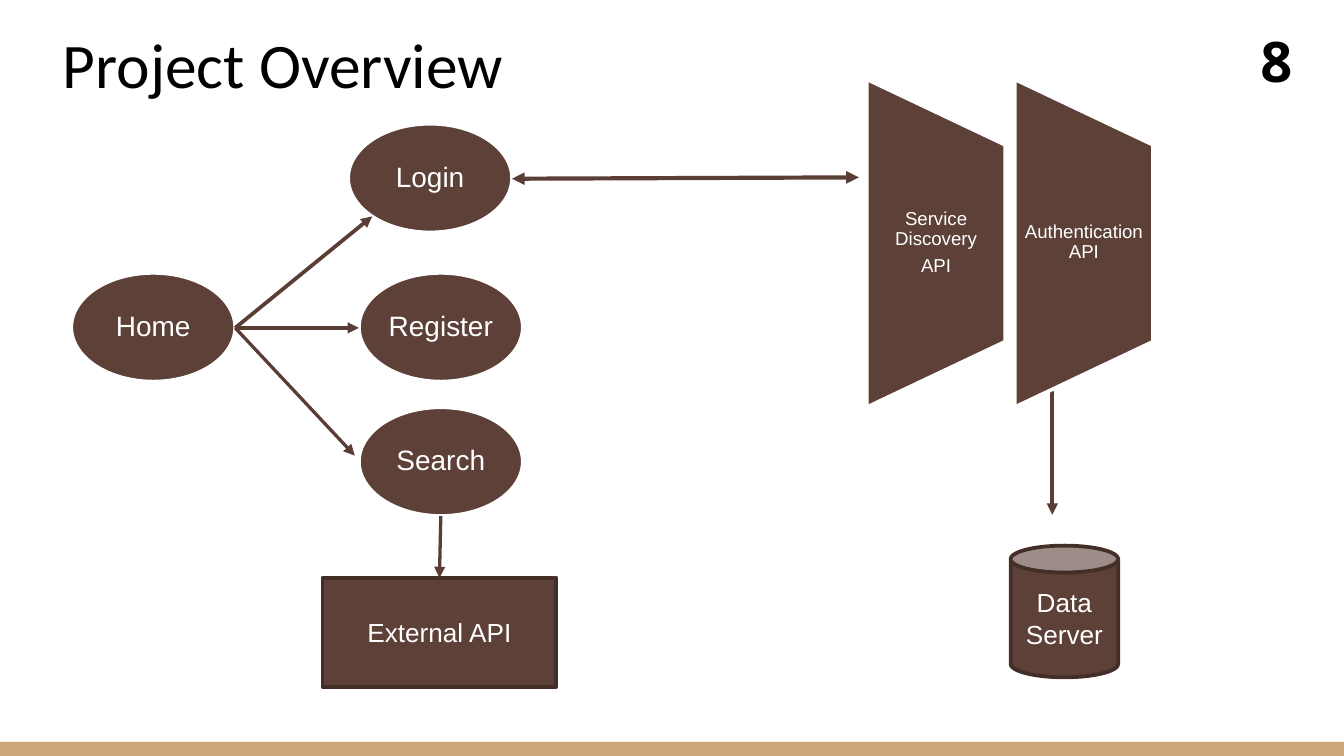
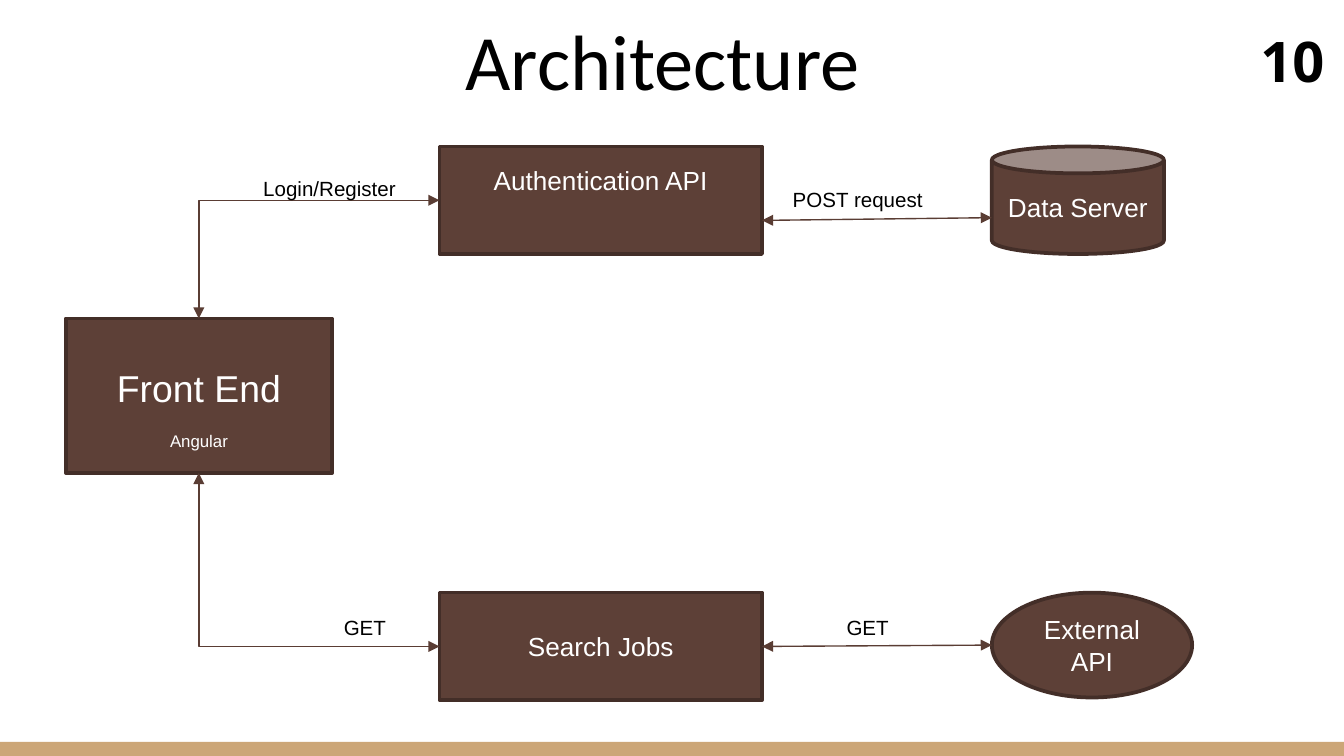
from dataclasses import dataclass

from lxml import etree
from pptx import Presentation
from pptx.dml.color import RGBColor
from pptx.enum.shapes import MSO_CONNECTOR, MSO_SHAPE
from pptx.enum.text import MSO_ANCHOR, PP_ALIGN
from pptx.oxml.ns import qn
from pptx.util import Inches, Pt

RECTANGLE = MSO_SHAPE.RECTANGLE
ELLIPSE = MSO_SHAPE.OVAL
CYLINDER = MSO_SHAPE.CAN
TRAPEZOID = MSO_SHAPE.FLOWCHART_MANUAL_OPERATION
STRAIGHT, ELBOW = MSO_CONNECTOR.STRAIGHT, MSO_CONNECTOR.ELBOW
LEFT, CENTER = PP_ALIGN.LEFT, PP_ALIGN.CENTER
TOP, MIDDLE, BOTTOM = MSO_ANCHOR.TOP, MSO_ANCHOR.MIDDLE, MSO_ANCHOR.BOTTOM

SLIDE_WIDTH = 10
SLIDE_HEIGHT = SLIDE_WIDTH * 9 / 16
INSETS = (0.1, 0.05, 0.1, 0.05)
EVEN_INSETS = (0.1,) * 4
TIGHT_INSETS = (0.01,) * 4


@dataclass(frozen=True)
class Theme:
    brown: str = "5D4037"
    outline: str = "432E28"
    arrow: str = "5A3D34"
    band: str = "CCA677"
    white: str = "FFFFFF"
    black: str = "000000"
    body_font: str = "Arial"
    title_font: str = "Calibri"
    number_font: str = "Open Sans"
    overview_title_size: float = 34
    architecture_title_size: float = 42
    number_size: float = 30
    headline_size: float = 20
    bubble_size: float = 15
    box_size: float = 14
    label_size: float = 11
    service_size: float = 10
    detail_size: float = 9


THEME = Theme()


def rgb(value):
    return RGBColor.from_string(value)


def write_text(shape, text, *, size, color=THEME.white, font=THEME.body_font,
               bold=False, align=CENTER, anchor=MIDDLE, insets=INSETS,
               wrap=True, line_spacing=None, gap=0):
    """Write one paragraph per line; size is one value or one per line."""
    frame = shape.text_frame
    frame.word_wrap = wrap
    frame.vertical_anchor = anchor
    (frame.margin_left, frame.margin_top,
     frame.margin_right, frame.margin_bottom) = map(Inches, insets)
    lines = text.split("\n")
    sizes = size if isinstance(size, tuple) else (size,) * len(lines)
    for index, (line, points) in enumerate(zip(lines, sizes)):
        paragraph = frame.paragraphs[0] if index == 0 else frame.add_paragraph()
        paragraph.alignment = align
        if line_spacing:
            paragraph.line_spacing = line_spacing
        if index and gap:
            paragraph.space_before = Pt(gap)
        run = paragraph.add_run()
        run.text = line
        run.font.name = font
        run.font.size = Pt(points)
        run.font.bold = bold
        run.font.color.rgb = rgb(color)


class Deck:
    def __init__(self, theme):
        self.theme = theme
        self.presentation = Presentation()
        self.presentation.slide_width = Inches(SLIDE_WIDTH)
        self.presentation.slide_height = Inches(SLIDE_HEIGHT)
        self.slide = None

    def start_slide(self, number):
        """Add a slide with the footer band and its number."""
        self.slide = self.presentation.slides.add_slide(
            self.presentation.slide_layouts[6])
        self.shape(RECTANGLE, 0, 5.52, SLIDE_WIDTH, 0.11,
                   fill=self.theme.band, line=None)
        self.text(str(number), 9.28, 0.1, 0.72, 0.71, bold=True,
                  size=self.theme.number_size, font=self.theme.number_font,
                  insets=EVEN_INSETS)

    def text(self, text, left, top, width, height, **text_format):
        box = self.slide.shapes.add_textbox(
            Inches(left), Inches(top), Inches(width), Inches(height))
        defaults = dict(color=self.theme.black, align=LEFT, anchor=TOP,
                        wrap=False)
        write_text(box, text, **{**defaults, **text_format})

    def title(self, text, left, top, width, height, **text_format):
        self.text(text, left, top, width, height, wrap=True,
                  font=self.theme.title_font, **text_format)

    def label(self, text, left, top, width):
        self.text(text, left, top, width, 0.29, size=self.theme.label_size)

    def shape(self, kind, left, top, width, height, fill=THEME.brown,
              line=THEME.outline):
        shape = self.slide.shapes.add_shape(
            kind, Inches(left), Inches(top), Inches(width), Inches(height))
        shape.shadow.inherit = False
        shape.fill.solid()
        shape.fill.fore_color.rgb = rgb(fill)
        if line:
            shape.line.color.rgb = rgb(line)
            shape.line.width = Pt(2)
        else:
            shape.line.fill.background()
        return shape

    def box(self, text, kind, left, top, width, height, **text_format):
        shape = self.shape(kind, left, top, width, height)
        write_text(shape, text, **{"size": self.theme.box_size, **text_format})

    def bubble(self, text, left, top):
        shape = self.shape(ELLIPSE, left, top, 1.22, 0.81,
                           line=self.theme.white)
        write_text(shape, text, size=self.theme.bubble_size,
                   insets=TIGHT_INSETS, line_spacing=0.9)

    def service(self, text, left):
        """Add a sideways trapezoid with upright text over it."""
        length, depth, center_y = 2.44, 1.03, 1.81
        shape = self.shape(TRAPEZOID, left + (depth - length) / 2,
                           center_y - depth / 2, length, depth,
                           line=self.theme.white)
        shape.rotation = 270
        self.text(text, left, 1.07, depth, 1.47,
                  size=self.theme.service_size, color=self.theme.white,
                  align=CENTER, anchor=MIDDLE, wrap=True,
                  insets=(0.07, 0, 0.07, 0), line_spacing=0.9, gap=3.5)

    def arrow(self, start, end, width=0.75, both=False, kind=STRAIGHT):
        connector = self.slide.shapes.add_connector(
            kind, *map(Inches, (*start, *end)))
        connector.line.color.rgb = rgb(self.theme.arrow)
        connector.line.width = Pt(width)
        properties = connector._element.spPr
        if kind == ELBOW:
            properties.find(qn("a:prstGeom")).set("prst", "bentConnector2")
        line = properties.find(qn("a:ln"))
        for end_name in ("headEnd", "tailEnd") if both else ("tailEnd",):
            etree.SubElement(line, qn(f"a:{end_name}")).set("type", "triangle")
        etree.SubElement(properties, qn("a:effectLst"))


def build_overview(deck):
    deck.start_slide(8)
    deck.title("Project Overview", 0.37, 0.14, 9.63, 0.67,
               size=deck.theme.overview_title_size)

    for text, left, top in (("Home", 0.53, 2.03), ("Login", 2.59, 0.92),
                            ("Register", 2.67, 2.03), ("Search", 2.67, 3.03)):
        deck.bubble(text, left, top)
    home = (1.75, 2.44)
    for target, width in (((2.77, 1.61), 2), ((2.67, 2.44), 1.75),
                          ((2.64, 3.39), 1.75)):
        deck.arrow(home, target, width)

    deck.arrow((3.81, 1.33), (6.39, 1.32), 2.25, both=True)
    deck.arrow((7.83, 2.84), (7.83, 3.83), 2)
    deck.box("Data Server", CYLINDER, 7.52, 4.06, 0.8, 0.98)
    deck.service("Service Discovery\nAPI", 6.45)
    deck.service("Authentication API", 7.55)
    deck.box("External API", RECTANGLE, 2.4, 4.3, 1.74, 0.81)
    deck.arrow((3.28, 3.84), (3.27, 4.3), 1.75)


def build_architecture(deck):
    deck.start_slide(10)
    theme = deck.theme
    deck.title("Architecture", 0.27, -0.02, 9.32, 0.91, align=CENTER,
               size=theme.architecture_title_size, anchor=BOTTOM,
               insets=EVEN_INSETS)

    deck.box("Front End\nAngular", RECTANGLE, 0.49, 2.37, 1.98, 1.15,
             size=(theme.headline_size, theme.detail_size), gap=11,
             insets=(0.1, 0.23, 0.1, 0.05))
    deck.box("Authentication API", RECTANGLE, 3.27, 1.09, 2.4, 0.8,
             insets=(0.1, 0.05, 0.1, 0.35))
    deck.box("Search Jobs", RECTANGLE, 3.27, 4.41, 2.4, 0.8)
    deck.box("Data Server", CYLINDER, 7.38, 1.09, 1.28, 0.8)
    deck.box("External API", ELLIPSE, 7.38, 4.41, 1.49, 0.78)

    deck.arrow((5.67, 4.81), (7.38, 4.8), both=True)
    deck.arrow((5.67, 1.64), (7.38, 1.62), both=True)
    deck.arrow((3.27, 1.49), (1.48, 2.37), both=True, kind=ELBOW)
    deck.arrow((3.27, 4.81), (1.48, 3.52), both=True, kind=ELBOW)

    for text, left, top, width in (("POST request", 5.8, 1.34, 1.24),
                                   ("GET", 6.2, 4.53, 0.52),
                                   ("Login/Register", 1.86, 1.26, 1.24),
                                   ("GET", 2.46, 4.53, 1.24)):
        deck.label(text, left, top, width)


def main():
    deck = Deck(THEME)
    build_overview(deck)
    build_architecture(deck)
    deck.presentation.save("out.pptx")


if __name__ == "__main__":
    main()
